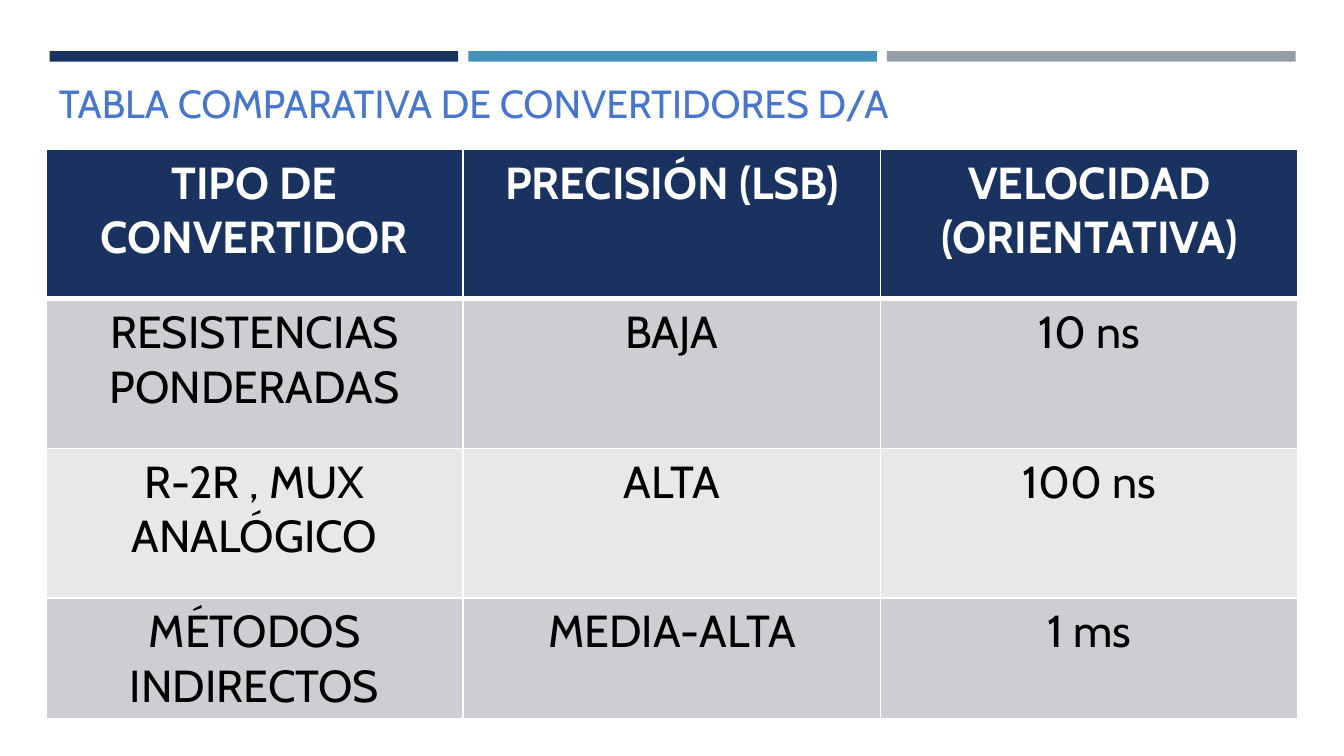
from lxml import etree
from pptx import Presentation, util as u
from pptx.dml.color import RGBColor
from pptx.enum import shapes, text
from pptx.oxml.ns import qn

TITLE = "TABLA COMPARATIVA DE CONVERTIDORES D/A"
ROWS = [
    ("TIPO DE CONVERTIDOR", "PRECISIÓN (LSB)", "VELOCIDAD (ORIENTATIVA)"),
    ("RESISTENCIAS PONDERADAS", "BAJA", "10 ns"),
    ("R-2R , MUX ANALÓGICO", "ALTA", "100 ns"),
    ("MÉTODOS INDIRECTOS", "MEDIA-ALTA", "1 ms"),
]
ROW_HEIGHTS = [3.34 / 3] * 3 + [0.82]

THEME = {
    "font": "Cabin", "title_size": 21, "cell_size": 24,
    "title": "4876CD", "header": "1A3260", "header_text": "FFFFFF",
    "body_text": "000000", "bands": ["CDCED2", "E8E8EA"],
    "bars": ["1A3260", "4590B8", "969FA7"],
    "border": "FFFFFF", "border_width": 1, "header_border_width": 3,
}


def write(frame, words, size, color, bold=False, align=text.PP_ALIGN.LEFT):
    frame.word_wrap = True
    para = frame.paragraphs[0]
    para.alignment = align
    span = para.add_run()
    span.text = words
    span.font.name = THEME["font"]
    span.font.size = u.Pt(size)
    span.font.bold = bold
    span.font.color.rgb = RGBColor.from_string(color)


def add_border(cell, side, width):
    line = etree.SubElement(cell._tc.get_or_add_tcPr(), qn(f"a:ln{side}"),
                            w=str(u.Pt(width)))
    fill = etree.SubElement(line, qn("a:solidFill"))
    etree.SubElement(fill, qn("a:srgbClr"), val=THEME["border"])


# Widescreen page, 16:9
deck = Presentation()
deck.slide_width, deck.slide_height = u.Inches(10), u.Inches(10 * 9 / 16)
page = deck.slides.add_slide(deck.slide_layouts[6])

# Three bars across the top
BAR_LEFT, BAR_STEP = 0.37, 3.115
for index, color in enumerate(THEME["bars"]):
    bar = page.shapes.add_shape(
        shapes.MSO_SHAPE.RECTANGLE, u.Inches(BAR_LEFT + index * BAR_STEP),
        u.Inches(0.38), u.Inches(3.04), u.Inches(0.08))
    bar.shadow.inherit = False
    bar.fill.solid()
    bar.fill.fore_color.rgb = RGBColor.from_string(color)
    bar.line.fill.background()

# Title, set slightly above the middle of its box
box = page.shapes.add_textbox(u.Inches(0.34), u.Inches(0.49),
                              u.Inches(9.32), u.Inches(0.63))
frame = box.text_frame
frame.margin_left = frame.margin_right = frame.margin_top = u.Inches(0.1)
frame.margin_bottom = u.Inches(0.18)
frame.vertical_anchor = text.MSO_ANCHOR.MIDDLE
write(frame, TITLE, THEME["title_size"], THEME["title"])

# Comparison table
table = page.shapes.add_table(
    len(ROWS), len(ROWS[0]), u.Inches(0.34), u.Inches(1.11),
    u.Inches(9.32), u.Inches(sum(ROW_HEIGHTS))).table
for row, height in zip(table.rows, ROW_HEIGHTS):
    row.height = u.Inches(height)

for r, words_in_row in enumerate(ROWS):
    header = r == 0
    fill = THEME["header"] if header else THEME["bands"][(r - 1) % 2]
    color = THEME["header_text"] if header else THEME["body_text"]
    thin, thick = THEME["border_width"], THEME["header_border_width"]
    borders = {"L": thin, "R": thin, "T": thick if r == 1 else thin,
               "B": thick if header else thin}
    for c, words in enumerate(words_in_row):
        cell = table.cell(r, c)
        for side, width in borders.items():
            add_border(cell, side, width)
        cell.fill.solid()
        cell.fill.fore_color.rgb = RGBColor.from_string(fill)
        write(cell.text_frame, words, THEME["cell_size"], color,
              bold=header, align=text.PP_ALIGN.CENTER)

deck.save("out.pptx")
